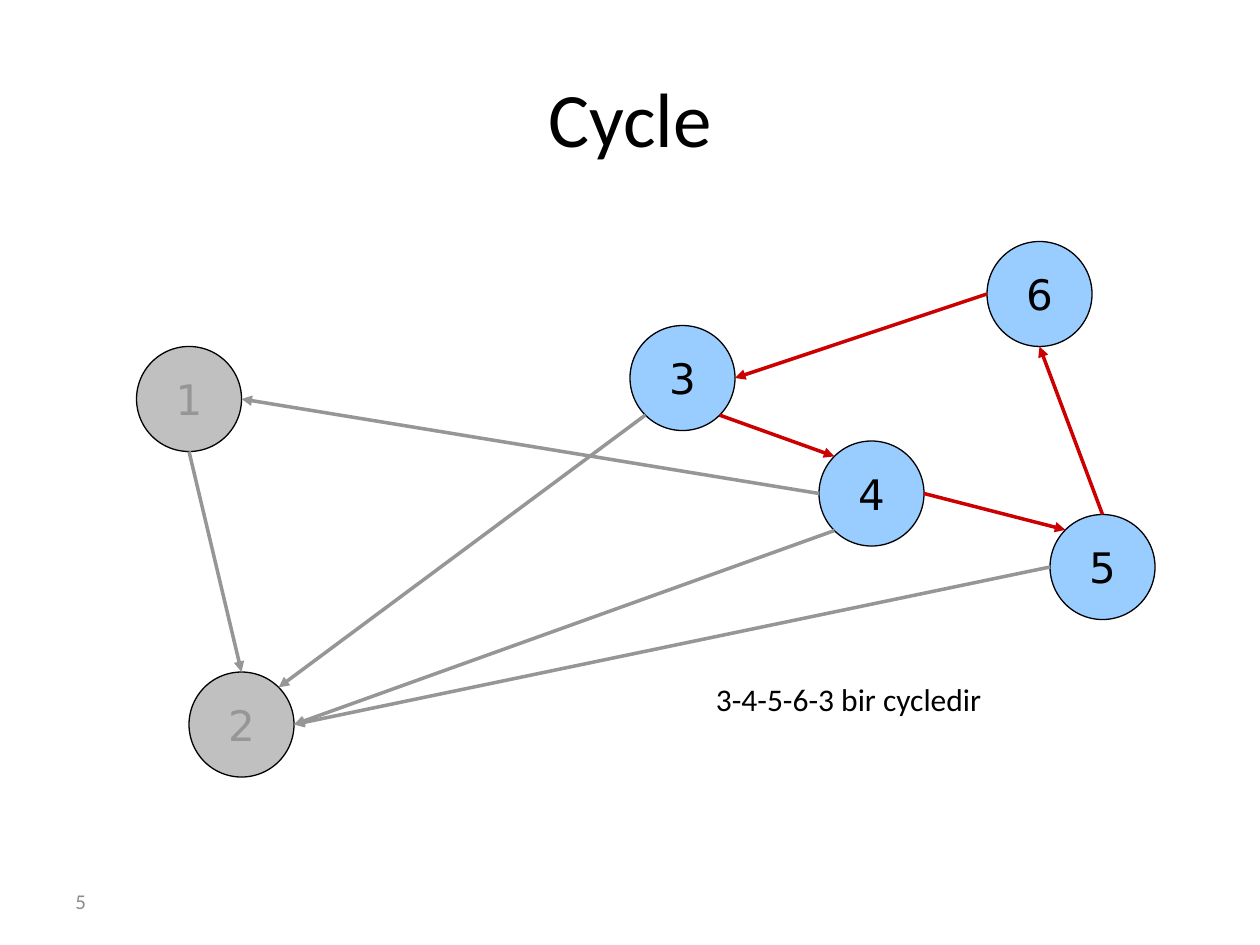
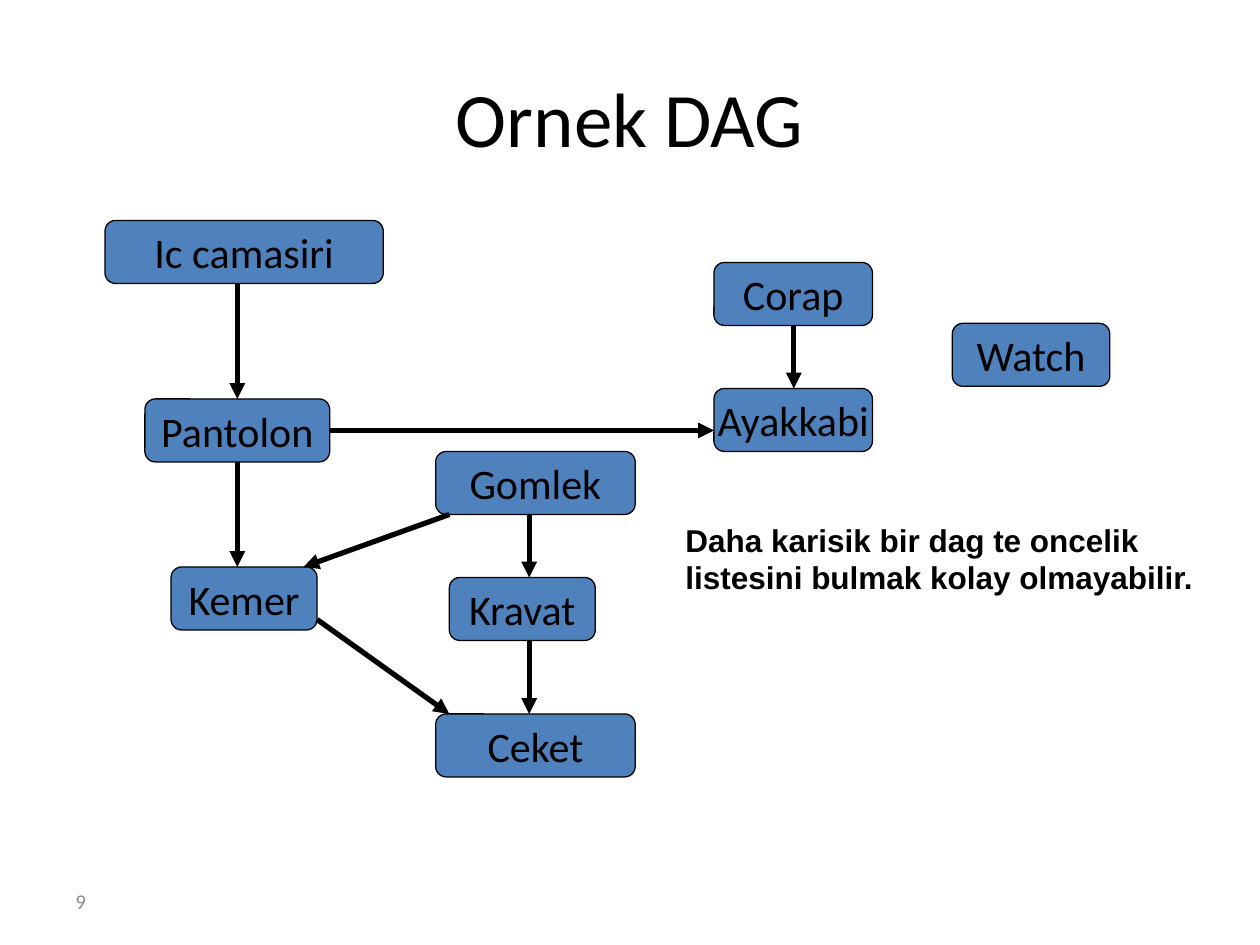
"""Build two slides of directed graphs: a cycle and a dressing-order DAG."""
import math

import lxml.etree
import pptx
import pptx.dml.color
import pptx.enum.shapes
import pptx.enum.text
import pptx.oxml.ns
import pptx.util

BLACK, RED, GREY, MUTED = "000000", "CC0000", "969696", "8C8C8C"
BLUE, SILVER, STEEL = "99CCFF", "C0C0C0", "4F81BD"
SHAPE = pptx.enum.shapes.MSO_SHAPE
ANCHOR = pptx.enum.text.MSO_ANCHOR
ALIGN = pptx.enum.text.PP_ALIGN
COLS, ROWS = 120, 90
NODE = 10
BOX_ROWS = 6
ANGLES = {d: i * math.pi / 4 for i, d in enumerate(["e", "se", "s", "sw", "w", "nw", "n", "ne"])}


def color(value):
    return pptx.dml.color.RGBColor.from_string(value)


def add_tag(parent, tag, **attrs):
    lxml.etree.SubElement(parent, pptx.oxml.ns.qn(tag), attrs)


class Deck:
    def __init__(self):
        self.prs = pptx.Presentation()
        self.prs.slide_width = pptx.util.Inches(10)
        self.prs.slide_height = pptx.util.Inches(7.5)
        self.s = None

    def place(self, col, row):
        return round(col * self.prs.slide_width / COLS), round(row * self.prs.slide_height / ROWS)

    def slide(self, title, number):
        self.s = self.prs.slides.add_slide(self.prs.slide_layouts[6])
        self.text(number, 6, 83.4, 28, 4.8, 12, MUTED, anchor=ANCHOR.MIDDLE)
        self.text(title, 6, 3.6, 108, 15, 44, align=ALIGN.CENTER, anchor=ANCHOR.MIDDLE)

    def label(self, sp, text, size, ink, font, align, anchor, bold=False, wrap=True):
        tf = sp.text_frame
        tf.word_wrap = wrap
        tf.vertical_anchor = anchor
        p = tf.paragraphs[0]
        p.text = text
        p.alignment = align
        p.font.size = pptx.util.Pt(size)
        p.font.name = font
        p.font.bold = bold
        p.font.color.rgb = color(ink)

    def text(self, text, col, row, cols, rows, size=18, ink=BLACK, font="Calibri",
             align=ALIGN.LEFT, anchor=ANCHOR.TOP, bold=False):
        sp = self.s.shapes.add_textbox(*self.place(col, row), *self.place(cols, rows))
        self.label(sp, text, size, ink, font, align, anchor, bold)

    def shape(self, kind, text, col, row, cols, rows, fill, ink=BLACK, font="Calibri"):
        sp = self.s.shapes.add_shape(kind, *self.place(col, row), *self.place(cols, rows))
        sp.shadow.inherit = False
        sp.fill.solid()
        sp.fill.fore_color.rgb = color(fill)
        sp.line.color.rgb = color(BLACK)
        sp.line.width = pptx.util.Pt(0.75)
        self.label(sp, text, 24, ink, font, ALIGN.CENTER, ANCHOR.MIDDLE, wrap=False)

    def arrow(self, start, end, ink, width):
        cxn = self.s.shapes.add_connector(pptx.enum.shapes.MSO_CONNECTOR.STRAIGHT,
                                          *self.place(*start), *self.place(*end))
        cxn.line.color.rgb = color(ink)
        cxn.line.width = pptx.util.Pt(width)
        props = cxn._element.spPr
        add_tag(props.find(pptx.oxml.ns.qn("a:ln")), "a:tailEnd", type="triangle")
        add_tag(props, "a:effectLst")


def rim(node, side):
    col, row = node
    r = NODE / 2
    return col + r + r * math.cos(ANGLES[side]), row + r + r * math.sin(ANGLES[side])


def cycle_slide(deck):
    deck.slide("Cycle", "5")
    nodes = {"4": (78, 42), "6": (94, 23), "5": (100, 49), "3": (60, 31), "2": (18, 64), "1": (13, 33)}
    cycle = "34563"
    for name, (col, row) in nodes.items():
        fill, ink = (BLUE, BLACK) if name in cycle else (SILVER, GREY)
        deck.shape(SHAPE.OVAL, name, col, row, NODE, NODE, fill, ink, "DejaVu Sans")
    edges = [("3", "se", "4", "nw"), ("6", "w", "3", "e"), ("4", "w", "1", "e"),
             ("1", "s", "2", "n"), ("5", "w", "2", "e"), ("5", "n", "6", "s"),
             ("4", "sw", "2", "e"), ("3", "sw", "2", "ne"), ("4", "e", "5", "nw")]
    for a, leave, b, enter in edges:
        ink = RED if a + b in cycle else GREY
        deck.arrow(rim(nodes[a], leave), rim(nodes[b], enter), ink, 2)
    deck.text("3-4-5-6-3 bir cycledir", 67, 64.2, 43.7, 14.2)


def dag_slide(deck):
    deck.slide("Ornek DAG", "9")
    clothes = [("Watch", 90.7, 30.8, 15), ("Corap", 68, 25, 15.1), ("Ayakkabi", 68, 37, 15.1),
               ("Ic camasiri", 10, 21, 26.5), ("Pantolon", 13.8, 38, 17.6),
               ("Kemer", 16.3, 54, 13.9), ("Kravat", 42.8, 55, 13.9),
               ("Gomlek", 41.5, 43, 19), ("Ceket", 41.5, 68, 19)]
    for name, col, row, cols in clothes:
        deck.shape(SHAPE.ROUNDED_RECTANGLE, name, col, row, cols, BOX_ROWS, STEEL)
    drops = [(22.6, 27, 38), (22.6, 44, 54), (50.4, 49, 55), (50.4, 61, 68), (75.6, 31, 37)]
    arrows = [((col, top), (col, bottom)) for col, top, bottom in drops]
    arrows += [((42.8, 49), (28.9, 54)), ((30.2, 59), (42.8, 68)), ((31.4, 41), (68, 41))]
    for start, end in arrows:
        deck.arrow(start, end, BLACK, 3)
    deck.text("Daha karisik bir dag te oncelik listesini bulmak kolay olmayabilir.",
              64.1, 49, 55.9, 27.1, font="Arial", bold=True)


def main():
    deck = Deck()
    cycle_slide(deck)
    dag_slide(deck)
    deck.prs.save("out.pptx")


if __name__ == "__main__":
    main()
